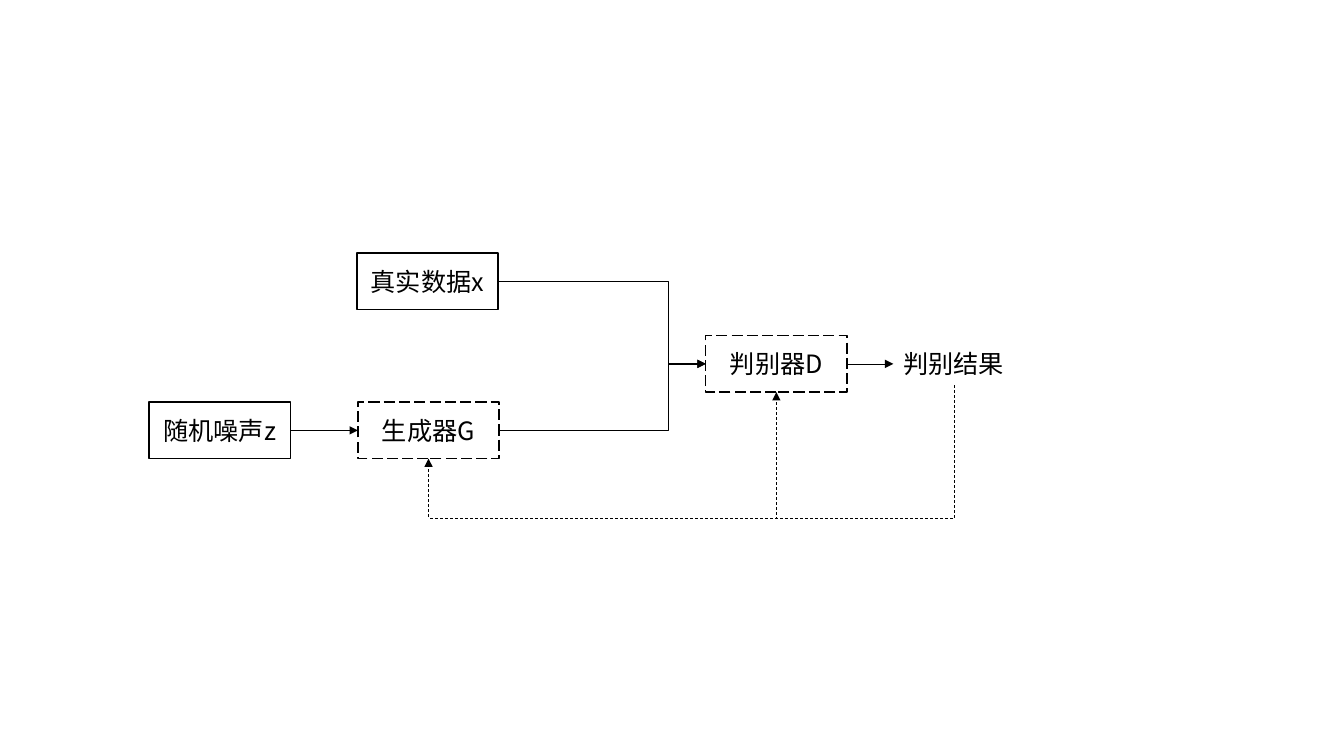
from lxml import etree
from pptx import Presentation
from pptx.dml.color import RGBColor
from pptx.enum.dml import MSO_LINE
from pptx.enum.shapes import MSO_CONNECTOR, MSO_SHAPE
from pptx.enum.text import MSO_ANCHOR, MSO_AUTO_SIZE, PP_ALIGN
from pptx.oxml.ns import qn
from pptx.util import Inches, Pt

BLACK = RGBColor(0x00, 0x00, 0x00)
WHITE = RGBColor(0xFF, 0xFF, 0xFF)
FONT = "Noto Sans CJK SC"
RECTANGLE = MSO_SHAPE.RECTANGLE
STRAIGHT, ELBOW = MSO_CONNECTOR.STRAIGHT, MSO_CONNECTOR.ELBOW
DASH, LONG_DASH = MSO_LINE.DASH, MSO_LINE.LONG_DASH
CENTER, MIDDLE = PP_ALIGN.CENTER, MSO_ANCHOR.MIDDLE
BOX_W, BOX_H = 1.4, 0.56
MERGE_X, FEEDBACK_Y = 6.63, 5.14


def write(tf, text):
    p = tf.paragraphs[0]
    p.text = text
    p.font.size = Pt(18)
    p.font.name = FONT
    p.font.color.rgb = BLACK
    props = p._p.pPr.find(qn("a:defRPr"))
    etree.SubElement(props, qn("a:ea")).set("typeface", FONT)
    return p


def arrow(kind, x1, y1, x2, y2, bend=None):
    c = slide.shapes.add_connector(kind, Inches(x1), Inches(y1), Inches(x2), Inches(y2))
    c.line.color.rgb = BLACK
    c.line.width = Pt(0.5)
    sp_pr = c._element.spPr
    etree.SubElement(sp_pr.find(qn("a:ln")), qn("a:tailEnd")).set("type", "triangle")
    etree.SubElement(sp_pr, qn("a:effectLst"))
    if bend is not None:
        guide = etree.SubElement(sp_pr.prstGeom.get_or_add_avLst(), qn("a:gd"))
        guide.set("name", "adj1")
        guide.set("fmla", f"val {round(bend * 100000)}")
    return c


prs = Presentation()
prs.slide_width, prs.slide_height = Inches(13.33), Inches(7.5)
slide = prs.slides.add_slide(prs.slide_layouts[6])

boxes = [
    ("随机噪声z", 1.48, 3.99, False),
    ("生成器G", 3.55, 3.99, True),
    ("真实数据x", 3.54, 2.51, False),
    ("判别器D", 7, 3.33, True),
]
for text, x, y, dashed in boxes:
    sp = slide.shapes.add_shape(RECTANGLE, Inches(x), Inches(y), Inches(BOX_W), Inches(BOX_H))
    sp.shadow.inherit = False
    sp.fill.solid()
    sp.fill.fore_color.rgb = WHITE
    sp.line.color.rgb = BLACK
    sp.line.width = Pt(1)
    if dashed:
        sp.line.dash_style = LONG_DASH
    sp.text_frame.vertical_anchor = MIDDLE
    write(sp.text_frame, text).alignment = CENTER

result = slide.shapes.add_textbox(Inches(8.86), Inches(3.41), Inches(1.21), Inches(0.4))
result.text_frame.word_wrap = False
result.text_frame.auto_size = MSO_AUTO_SIZE.SHAPE_TO_FIT_TEXT
write(result.text_frame, "判别结果")

arrow(STRAIGHT, 2.88, 4.27, 3.55, 4.27)
arrow(STRAIGHT, 8.4, 3.61, 8.86, 3.61)

for x, y in [(4.94, 2.79), (4.95, 4.27)]:
    arrow(ELBOW, x, y, 7, 3.61, (MERGE_X - x) / (7 - x))

start_x, start_y = 9.47, 3.82
for end_x, end_y in [(4.25, 4.55), (7.7, 3.89)]:
    drop, run = end_y - start_y, start_x - end_x
    left = (start_x + end_x - drop) / 2
    top = (start_y + end_y - run) / 2
    c = arrow(ELBOW, left, top, left + drop, top + run, (FEEDBACK_Y - start_y) / drop)
    c.line.dash_style = DASH
    c._element.spPr.xfrm.set("rot", "5400000")

prs.save("out.pptx")
